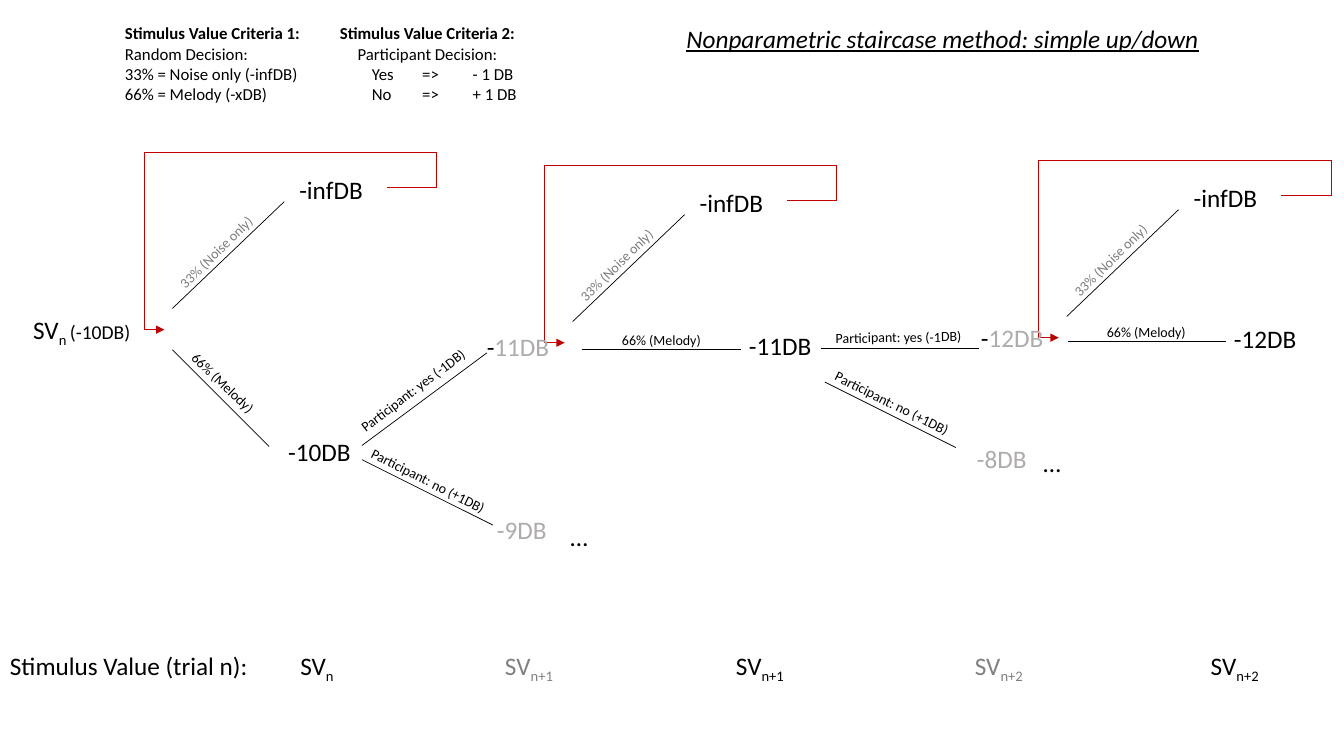
from itertools import pairwise

from lxml.etree import SubElement
from pptx import Presentation
from pptx.dml.color import RGBColor
from pptx.enum.shapes import MSO_CONNECTOR
from pptx.enum.text import MSO_AUTO_SIZE, PP_ALIGN
from pptx.oxml.ns import qn
from pptx.util import Inches, Pt

BLACK = RGBColor(0x00, 0x00, 0x00)
RED = RGBColor(0xC0, 0x00, 0x00)
PALE = RGBColor(0xAF, 0xAB, 0xAB)
GRAY = RGBColor(0x80, 0x80, 0x80)
NOISE_GRAY = RGBColor(0x7C, 0x7C, 0x7C)

SUBSCRIPT = {"baseline": -25}
SMALL = {"size": Pt(10)}
CRITERIA = {"size": Pt(12)}


class StaircaseSlide:
    """Draws the elements of the diagram on one slide."""

    base = {"name": "Calibri", "size": Pt(18), "color": BLACK}

    def __init__(self, slide):
        self.slide = slide

    def text(self, left, top, width, height, paragraphs, rotation=0, wrap=False, **style):
        """Each paragraph is a string or a list of (text, format) runs."""
        box = self.slide.shapes.add_textbox(
            Inches(left), Inches(top), Inches(width), Inches(height))
        box.rotation = rotation
        frame = box.text_frame
        frame.word_wrap = wrap
        frame.auto_size = MSO_AUTO_SIZE.SHAPE_TO_FIT_TEXT
        if isinstance(paragraphs, str):
            paragraphs = [paragraphs]
        for index, runs in enumerate(paragraphs):
            paragraph = frame.paragraphs[0] if index == 0 else frame.add_paragraph()
            if isinstance(runs, str):
                runs = [(runs, {})]
            for words, changes in runs:
                self.run(paragraph, words, {**self.base, **style, **changes})
        return frame

    def run(self, paragraph, words, formats):
        run = paragraph.add_run()
        run.text = words
        for key, value in formats.items():
            if key == "color":
                run.font.color.rgb = value
            elif key == "baseline":
                run.font._element.set("baseline", str(value * 1000))
            else:
                setattr(run.font, key, value)

    def line(self, start, end, color=BLACK, arrow=False):
        line = self.slide.shapes.add_connector(
            MSO_CONNECTOR.STRAIGHT, *(Inches(length) for length in (*start, *end)))
        line.line.color.rgb = color
        line.line.width = Pt(0.5)
        if arrow:
            SubElement(line.line._get_or_add_ln(), qn("a:tailEnd"), type="triangle")
        SubElement(line._element.spPr, qn("a:effectLst"))

    def tab_stops(self, paragraph, indent, stops):
        properties = paragraph._p.get_or_add_pPr()
        properties.set("marL", str(Inches(indent)))
        properties.set("indent", "0")
        tabs = SubElement(properties, qn("a:tabLst"))
        for stop in stops:
            SubElement(tabs, qn("a:tab"), pos=str(Inches(stop)), algn="l")

    def value(self, left, top, runs, width=0.83, **style):
        self.text(left, top, width, 0.4, [runs], **style)

    def noise_branch(self, x, y):
        """Noise-only branch with the red loop back; x, y is the loop's corner."""
        self.value(x + 1.44, y + 0.17, "-infDB", 0.84)
        self.line((x + 0.28, y + 1.55), (x + 1.39, y + 0.49))
        self.text(x + 0.14, y + 0.85, 1.16, 0.27, "33% (Noise only)",
                  315.7, color=NOISE_GRAY, **SMALL)
        loop = [(x + 2.41, y + 0.35), (x + 2.9, y + 0.35), (x + 2.9, y),
                (x, y), (x, y + 1.76), (x + 0.2, y + 1.76)]
        for start, end in pairwise(loop):
            self.line(start, end, RED, arrow=end == loop[-1])


def main():
    deck = Presentation()
    deck.slide_width, deck.slide_height = Inches(13.33), Inches(7.5)
    staircase = StaircaseSlide(deck.slides.add_slide(deck.slide_layouts[6]))

    # Title and criteria
    staircase.text(6.71, 0.18, 5.33, 0.4, "Nonparametric staircase method: simple up/down",
                   italic=True, underline=True)
    staircase.text(1.14, 0.18, 2.9, 0.91, [
        [("Stimulus Value Criteria 1:", {"bold": True})],
        "Random Decision:",
        "33% = Noise only (-infDB)",
        "66% = Melody (-xDB)"], wrap=True, **CRITERIA)
    decision = staircase.text(3.16, 0.18, 2.16, 0.91, [
        [("Stimulus Value Criteria 2:", {"bold": True})],
        "Participant Decision:",
        "Yes\t=>\t- 1 DB",
        "No\t=>\t+ 1 DB"], wrap=True, **CRITERIA)
    for heading in decision.paragraphs[:2]:
        heading.alignment = PP_ALIGN.CENTER
    for answer in decision.paragraphs[2:]:
        staircase.tab_stops(answer, 0.43, (0.77, 1.08))

    # Noise branches of the three trials
    for corner in ((1.43, 1.51), (5.4, 1.64), (10.3, 1.59)):
        staircase.noise_branch(*corner)

    # Stimulus values
    staircase.value(0.23, 3.07, [("SV", {}), ("n ", SUBSCRIPT),
                                 ("(-10DB)", {"size": Pt(14)})], 1.19)
    for left, top, level in ((2.76, 4.28, "-10DB"), (7.33, 3.23, "-11DB"),
                             (12.14, 3.16, "-12DB")):
        staircase.value(left, top, level)
    for left, top, level in ((4.73, 3.24, "11DB"), (9.63, 3.15, "12DB")):
        staircase.value(left, top, [("-", {}), (level, {"color": PALE})])
    for left, top, level in ((4.83, 5.05, "-9DB"), (9.59, 4.35, "-8DB")):
        staircase.value(left, top, level, 0.7, color=PALE)
    for left, top in ((5.56, 5.12), (10.25, 4.39)):
        staircase.value(left, top, "…", 0.38)

    # Melody branches and participant decisions
    melody = ("66% (Melody)", 0.99)
    yes = ("Participant: yes (-1DB)", 1.47)
    no = ("Participant: no (+1DB)", 1.46)
    for start, end, (label, width), left, top, rotation in (
        ((1.71, 3.47), (2.67, 4.43), melody, 1.72, 3.67, 43.4),
        ((3.59, 4.42), (4.83, 3.5), yes, 3.37, 3.73, 322.9),
        ((3.59, 4.56), (4.89, 5.21), no, 3.53, 4.64, 26.6),
        ((5.77, 3.47), (7.35, 3.47), melody, 6.07, 3.24, 0),
        ((8.14, 3.46), (9.71, 3.46), yes, 8.19, 3.21, 359.2),
        ((8.18, 3.79), (9.48, 4.44), no, 8.13, 3.87, 26.6),
        ((10.59, 3.39), (12.16, 3.39), melody, 10.88, 3.16, 0),
    ):
        staircase.line(start, end)
        staircase.text(left, top, width, 0.27, label, rotation, **SMALL)

    # Trial row
    staircase.value(0, 6.4, "Stimulus Value (trial n):", 2.59)
    for left, trial, color in ((2.88, "n", BLACK), (4.91, "n+1", GRAY), (7.2, "n+1", BLACK),
                               (9.57, "n+2", GRAY), (11.91, "n+2", BLACK)):
        width = 0.53 if trial == "n" else 0.68
        staircase.value(left, 6.4, [("SV", {}), (trial, SUBSCRIPT)], width, color=color)

    deck.save("out.pptx")


if __name__ == "__main__":
    main()
